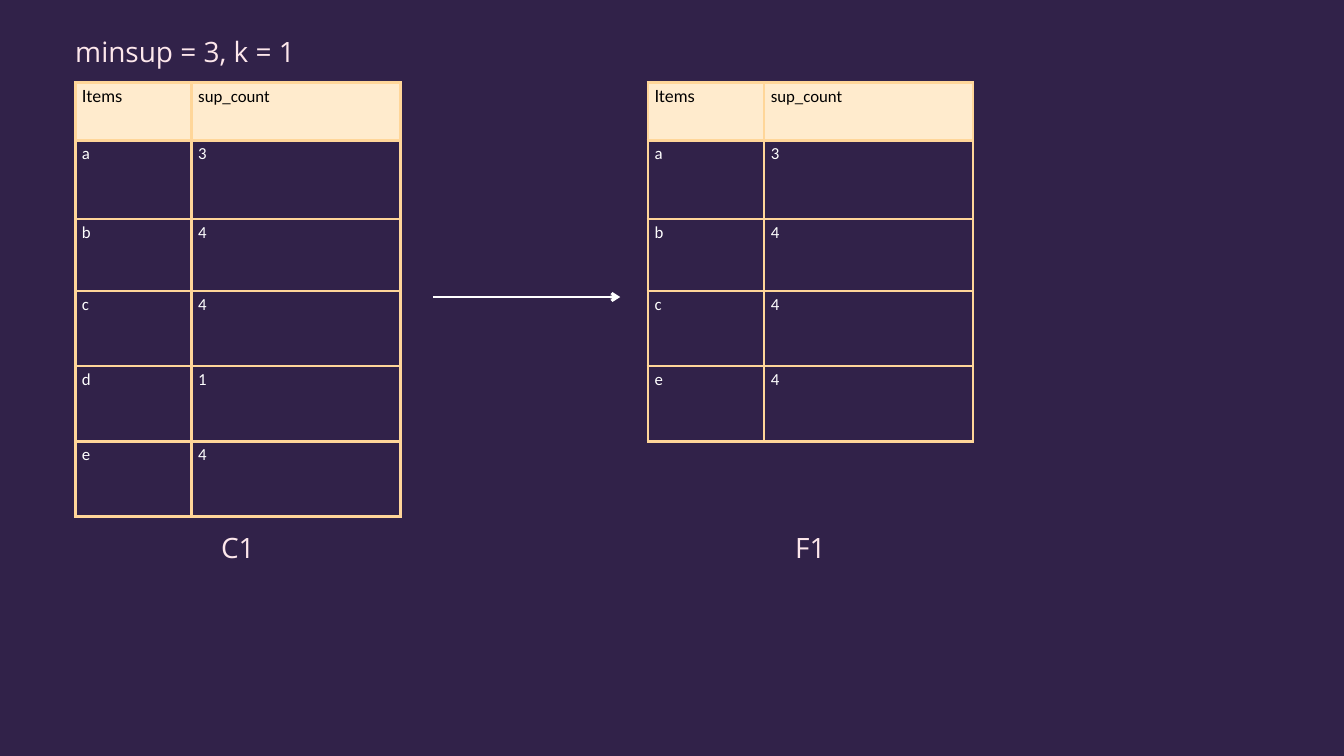
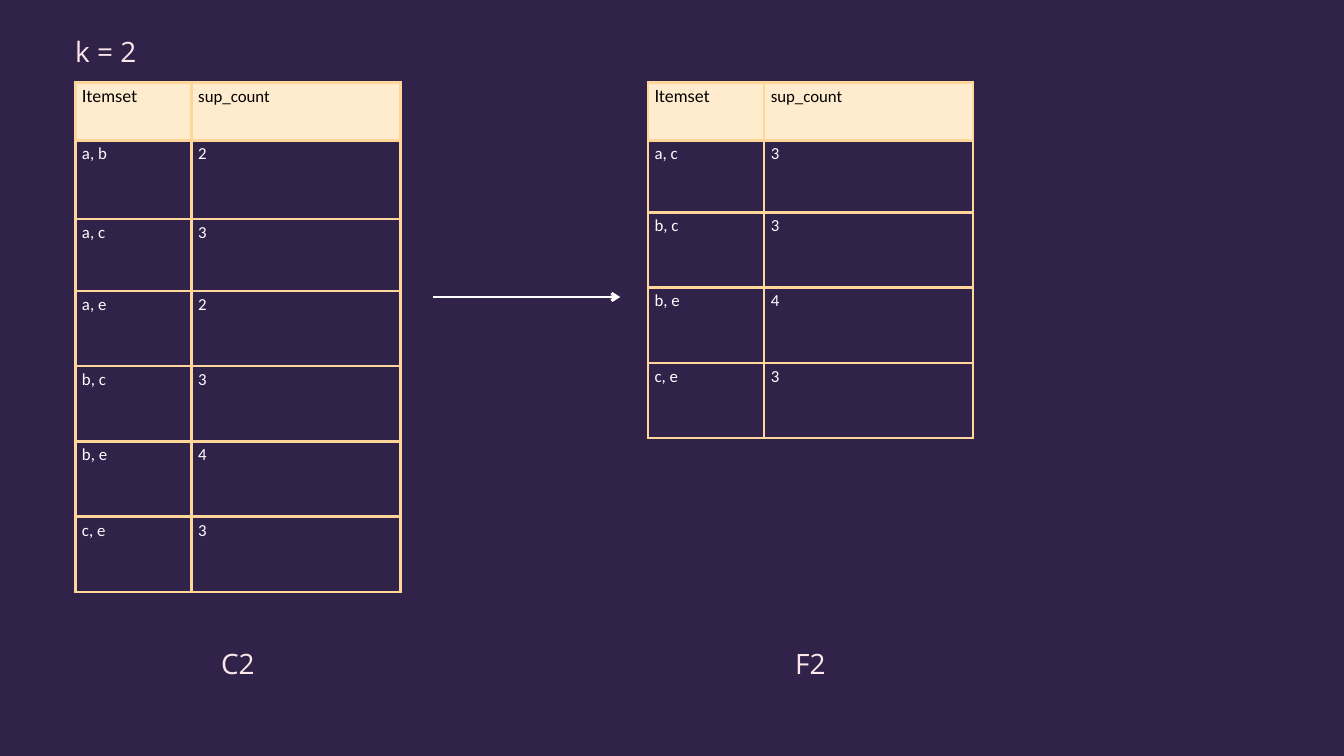
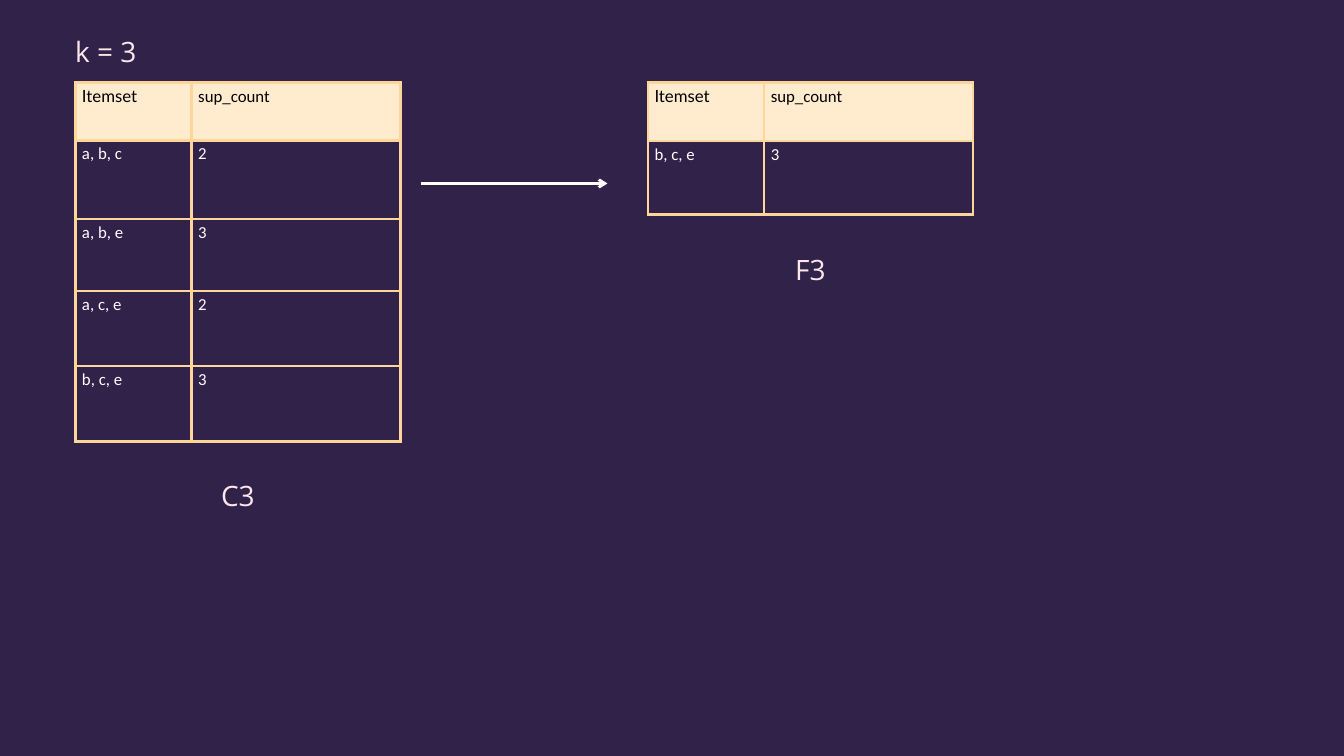
from dataclasses import dataclass

from lxml.etree import SubElement
from pptx import Presentation
from pptx.dml.color import RGBColor
from pptx.enum.shapes import MSO_CONNECTOR
from pptx.enum.text import MSO_AUTO_SIZE, PP_ALIGN
from pptx.oxml.ns import qn
from pptx.util import Inches, Pt

COLORS = {
    "background": "312249",
    "border": "FFD699",
    "header": "FFEBCD",
    "header_text": "000000",
    "cell_text": "FFFFFF",
    "label": "FDE7EB",
    "arrow": "FFFFFF",
}
LEFT, RIGHT = 1.12, 9.64
TITLE_TOP, TABLE_TOP = 0.52, 1.23
COLUMNS = (1.73, 3.11)
WIDTH = sum(COLUMNS)
LABEL_HEIGHT = 0.5
ROW_HEIGHT = 1.12
ARROW_LENGTH = 2.78
FULL_LEAD = (0.86, 1.17, 1.07)


@dataclass(frozen=True)
class ItemTable:
    caption: str
    caption_top: float
    counts: dict[str, int]
    lead_heights: tuple[float, ...] = FULL_LEAD


@dataclass(frozen=True)
class Step:
    title: str
    heading: str
    candidates: ItemTable
    frequent: ItemTable
    arrow_start: tuple[float, float] = (6.45, 4.42)


STEPS = (
    Step(
        "minsup = 3, k = 1",
        "Items",
        ItemTable("C1", 7.9, {"a": 3, "b": 4, "c": 4, "d": 1, "e": 4}),
        ItemTable("F1", 7.9, {"a": 3, "b": 4, "c": 4, "e": 4}),
    ),
    Step(
        "k = 2",
        "Itemset",
        ItemTable("C2", 9.62, {"a, b": 2, "a, c": 3, "a, e": 2,
                               "b, c": 3, "b, e": 4, "c, e": 3}),
        ItemTable("F2", 9.62, {"a, c": 3, "b, c": 3, "b, e": 4, "c, e": 3},
                  (0.86, 1.07)),
    ),
    Step(
        "k = 3",
        "Itemset",
        ItemTable("C3", 7.12, {"a, b, c": 2, "a, b, e": 3,
                               "a, c, e": 2, "b, c, e": 3}),
        ItemTable("F3", 3.76, {"b, c, e": 3}, (0.87, 1.09)),
        (6.26, 2.73),
    ),
)


def rgb(name: str) -> RGBColor:
    return RGBColor.from_string(COLORS[name])


def write(p, text: str, *, font: str, size: int, color: str) -> None:
    r = p.add_run()
    r.text = text
    r.font.name = font
    r.font.size = Pt(size)
    r.font.color.rgb = rgb(color)


def add_label(s, text: str, left: float, top: float, align=PP_ALIGN.LEFT) -> None:
    sp = s.shapes.add_textbox(Inches(left), Inches(top), Inches(WIDTH), Inches(LABEL_HEIGHT))
    tf = sp.text_frame
    tf.word_wrap = True
    tf.auto_size = MSO_AUTO_SIZE.SHAPE_TO_FIT_TEXT
    tf.margin_left = tf.margin_right = tf.margin_top = tf.margin_bottom = 0
    p = tf.paragraphs[0]
    p.alignment = align
    p.line_spacing = Pt(36)
    write(p, text, font="Open Sans", size=30, color="label")


def add_borders(cell) -> None:
    tc_pr = cell._tc.get_or_add_tcPr()
    for side in ("lnL", "lnR", "lnT", "lnB"):
        line = SubElement(tc_pr, qn(f"a:{side}"), w=str(Pt(3)))
        fill = SubElement(line, qn("a:solidFill"))
        SubElement(fill, qn("a:srgbClr"), val=COLORS["border"])


def add_item_table(s, item_table: ItemTable, heading: str, left: float) -> None:
    rows = [(heading, "sup_count"), *item_table.counts.items()]
    lead = item_table.lead_heights
    heights = [*lead, *[ROW_HEIGHT] * (len(rows) - len(lead))]
    table = s.shapes.add_table(
        len(rows), len(COLUMNS), Inches(left), Inches(TABLE_TOP),
        Inches(WIDTH), Inches(sum(heights)),
    ).table
    table.first_row = table.horz_banding = False
    for column, width in zip(table.columns, COLUMNS):
        column.width = Inches(width)
    for i, (values, height) in enumerate(zip(rows, heights)):
        table.rows[i].height = Inches(height)
        for j, value in enumerate(values):
            cell = table.cell(i, j)
            add_borders(cell)
            if i == 0:
                cell.fill.solid()
                cell.fill.fore_color.rgb = rgb("header")
            else:
                cell.fill.background()
            write(
                cell.text_frame.paragraphs[0], str(value), size=18,
                font="Lato" if i == j == 0 else "Calibri",
                color="header_text" if i == 0 else "cell_text",
            )
    add_label(s, item_table.caption, left, item_table.caption_top, PP_ALIGN.CENTER)


def add_arrow(s, left: float, top: float) -> None:
    arrow = s.shapes.add_connector(
        MSO_CONNECTOR.STRAIGHT, Inches(left), Inches(top),
        Inches(left + ARROW_LENGTH), Inches(top),
    )
    arrow.line.color.rgb = rgb("arrow")
    arrow.line.width = Pt(3)
    SubElement(arrow.line._get_or_add_ln(), qn("a:tailEnd"), type="arrow")
    SubElement(arrow._element.spPr, qn("a:effectLst"))


def add_step(prs, step: Step) -> None:
    s = prs.slides.add_slide(prs.slide_layouts[6])
    s.background.fill.solid()
    s.background.fill.fore_color.rgb = rgb("background")
    add_label(s, step.title, LEFT, TITLE_TOP)
    add_item_table(s, step.candidates, step.heading, LEFT)
    add_arrow(s, *step.arrow_start)
    add_item_table(s, step.frequent, step.heading, RIGHT)


def main() -> None:
    prs = Presentation()
    prs.slide_width = Inches(20)
    prs.slide_height = Inches(11.25)
    for step in STEPS:
        add_step(prs, step)
    prs.save("out.pptx")


if __name__ == "__main__":
    main()
